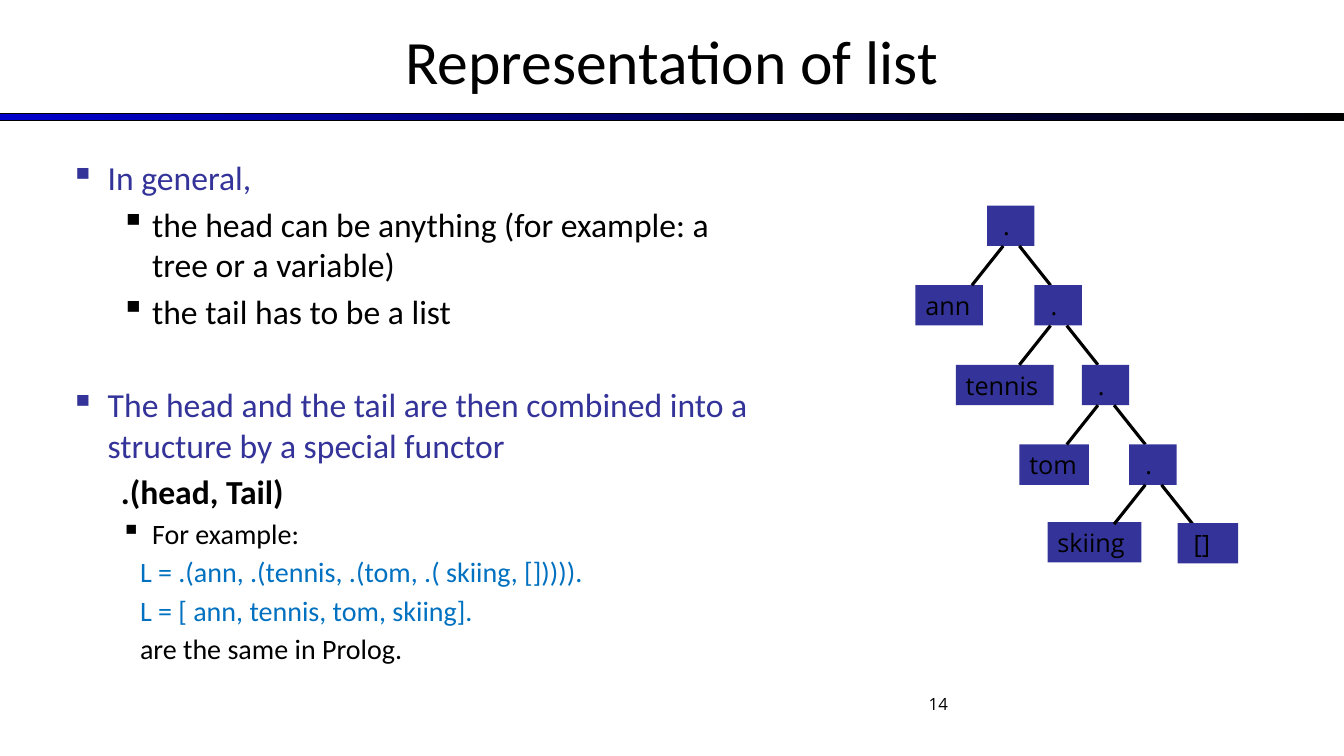
from lxml import etree
from pptx import Presentation
from pptx.dml.color import RGBColor
from pptx.enum.shapes import MSO_CONNECTOR, MSO_SHAPE
from pptx.enum.text import MSO_ANCHOR, PP_ALIGN
from pptx.oxml.ns import qn
from pptx.util import Inches, Pt

RECTANGLE = MSO_SHAPE.RECTANGLE
STRAIGHT = MSO_CONNECTOR.STRAIGHT
MIDDLE, TOP = MSO_ANCHOR.MIDDLE, MSO_ANCHOR.TOP
LEFT, CENTER, RIGHT = PP_ALIGN.LEFT, PP_ALIGN.CENTER, PP_ALIGN.RIGHT

BLACK = RGBColor(0x00, 0x00, 0x00)
INDIGO = RGBColor(0x33, 0x33, 0x99)
BLUE = RGBColor(0x00, 0x70, 0xC0)
RULE_BLUE = RGBColor(0x00, 0x00, 0xCC)
BODY_FONT, TREE_FONT = "Calibri", "Open Sans"

TITLE = "Representation of list"
PAGE_NUMBER = "14"

# style: left margin, hanging indent, size, colour, bold, space before
STYLES = {
    "topic": (0.37, 0.37, 24, INDIGO, False, 4.5),
    "next topic": (0.37, 0.37, 24, INDIGO, False, 38),
    "point": (0.81, 0.31, 24, BLACK, False, 4.5),
    "functor": (0.5, 0, 24, BLACK, True, 4.5),
    "example": (0.81, 0.31, 20, BLACK, False, 3.5),
    "code": (0.69, 0, 20, BLUE, False, 3.5),
    "remark": (0.69, 0, 20, BLACK, False, 3.5),
}
BODY = [
    ("topic", "In general,"),
    ("point", "the head can be anything (for example: a tree or a variable)"),
    ("point", "the tail has to be a list"),
    ("next topic", "The head and the tail are then combined into a structure by a special functor"),
    ("functor", ".(head, Tail)"),
    ("example", "For example:"),
    ("code", "L = .(ann, .(tennis, .(tom, .( skiing, [])))))."[:-2] + "."),
    ("code", "L = [ ann, tennis, tom, skiing]."),
    ("remark", "are the same in Prolog."),
]
BODY[6] = ("code", "L = .(ann, .(tennis, .(tom, .( skiing, [])))).")

HEADS = [
    ("ann", 9.08, 2.83, 0.67),
    ("tennis", 9.48, 3.62, 0.97),
    ("tom", 10.11, 4.41, 0.69),
    ("skiing", 10.39, 5.18, 0.93),
]
ROOT_LEFT, ROOT_TOP = 9.79, 2.04
STEP_X, STEP_Y = 0.47, 0.79
NODE_HEIGHT = 0.4
BRANCH_X, BRANCH_Y = 0.31, 0.39


def write(frame, text, font_name, size, color, align, anchor):
    """Put one formatted paragraph in a text frame."""
    frame.vertical_anchor = anchor
    paragraph = frame.paragraphs[0]
    paragraph.text = text
    paragraph.alignment = align
    set_font(paragraph, font_name, size, color)


def set_font(paragraph, name, size, color, bold=False):
    """Format all the text of a paragraph."""
    font = paragraph.font
    font.name, font.size, font.bold = name, Pt(size), bold
    font.color.rgb = color


def add_rule(slide):
    """Draw the gradient bar under the title."""
    rule = slide.shapes.add_shape(
        RECTANGLE, 0, Inches(1.13), Inches(13.33), Inches(0.07))
    rule.shadow.inherit = False
    rule.fill.gradient()
    rule.fill.gradient_angle = 0
    for stop, color in zip(rule.fill.gradient_stops, (RULE_BLUE, BLACK)):
        stop.color.rgb = color
    rule.line.color.rgb = BLACK
    rule.line.width = Pt(0.75)


def add_body(slide):
    """Write the explanation on the left."""
    box = slide.shapes.add_textbox(
        Inches(0.6), Inches(1.51), Inches(7.08), Inches(4.5))
    frame = box.text_frame
    frame.word_wrap = True
    for index, (style, text) in enumerate(BODY):
        margin, hanging, size, color, bold, before = STYLES[style]
        paragraph = frame.add_paragraph() if index else frame.paragraphs[0]
        paragraph.text = text
        properties = paragraph._p.get_or_add_pPr()
        properties.set("marL", str(Inches(margin)))
        properties.set("indent", str(-Inches(hanging)))
        if hanging:
            bullet_color = etree.SubElement(properties, qn("a:buClr"))
            etree.SubElement(bullet_color, qn("a:srgbClr"), val=str(color))
            etree.SubElement(properties, qn("a:buChar"), char="▪")
        paragraph.space_before = Pt(before)
        set_font(paragraph, BODY_FONT, size, color, bold)


def add_node(slide, text, left, top, width, inset):
    """Draw one node of the tree."""
    node = slide.shapes.add_shape(
        RECTANGLE, Inches(left), Inches(top), Inches(width), Inches(NODE_HEIGHT))
    node.shadow.inherit = False
    node.fill.solid()
    node.fill.fore_color.rgb = INDIGO
    node.line.fill.background()
    frame = node.text_frame
    frame.margin_left, frame.margin_right = Inches(inset), 0
    write(frame, text, TREE_FONT, 18, BLACK, LEFT, MIDDLE)


def add_branch(slide, left, top, run):
    """Draw one branch downwards from a functor node."""
    branch = slide.shapes.add_connector(
        STRAIGHT, Inches(left), Inches(top),
        Inches(left + run), Inches(top + BRANCH_Y))
    branch.line.color.rgb = BLACK
    branch.line.width = Pt(2.25)
    etree.SubElement(branch._element.spPr, qn("a:effectLst"))


def add_tree(slide):
    """Draw the list as a tree of heads and tails."""
    for level, (text, left, top, width) in enumerate(HEADS):
        dot_left = ROOT_LEFT + level * STEP_X
        dot_top = ROOT_TOP + level * STEP_Y
        add_node(slide, ".", dot_left, dot_top, 0.47, 0.16)
        add_node(slide, text, left, top, width, 0.1)
        bottom = dot_top + NODE_HEIGHT
        add_branch(slide, dot_left + 0.16, bottom, -BRANCH_X)
        add_branch(slide, dot_left + 0.32, bottom, BRANCH_X)
    add_node(slide, "[]", 11.68, 5.19, 0.6, 0.16)


def main():
    """Build the slide about list representation."""
    presentation = Presentation()
    presentation.slide_width = Inches(13.33)
    presentation.slide_height = Inches(7.5)
    slide = presentation.slides.add_slide(presentation.slide_layouts[5])

    add_rule(slide)
    title = slide.shapes.title
    title.left, title.top = 0, Inches(-0.03)
    title.width, title.height = Inches(13.33), Inches(1.25)
    write(title.text_frame, TITLE, BODY_FONT, 44, BLACK, CENTER, MIDDLE)
    add_body(slide)
    add_tree(slide)

    number = slide.shapes.add_textbox(
        Inches(7.17), Inches(6.83), Inches(2.33), Inches(0.52))
    number.text_frame.word_wrap = True
    write(number.text_frame, PAGE_NUMBER, TREE_FONT, 12, BLACK, RIGHT, TOP)
    presentation.save("out.pptx")


if __name__ == "__main__":
    main()
